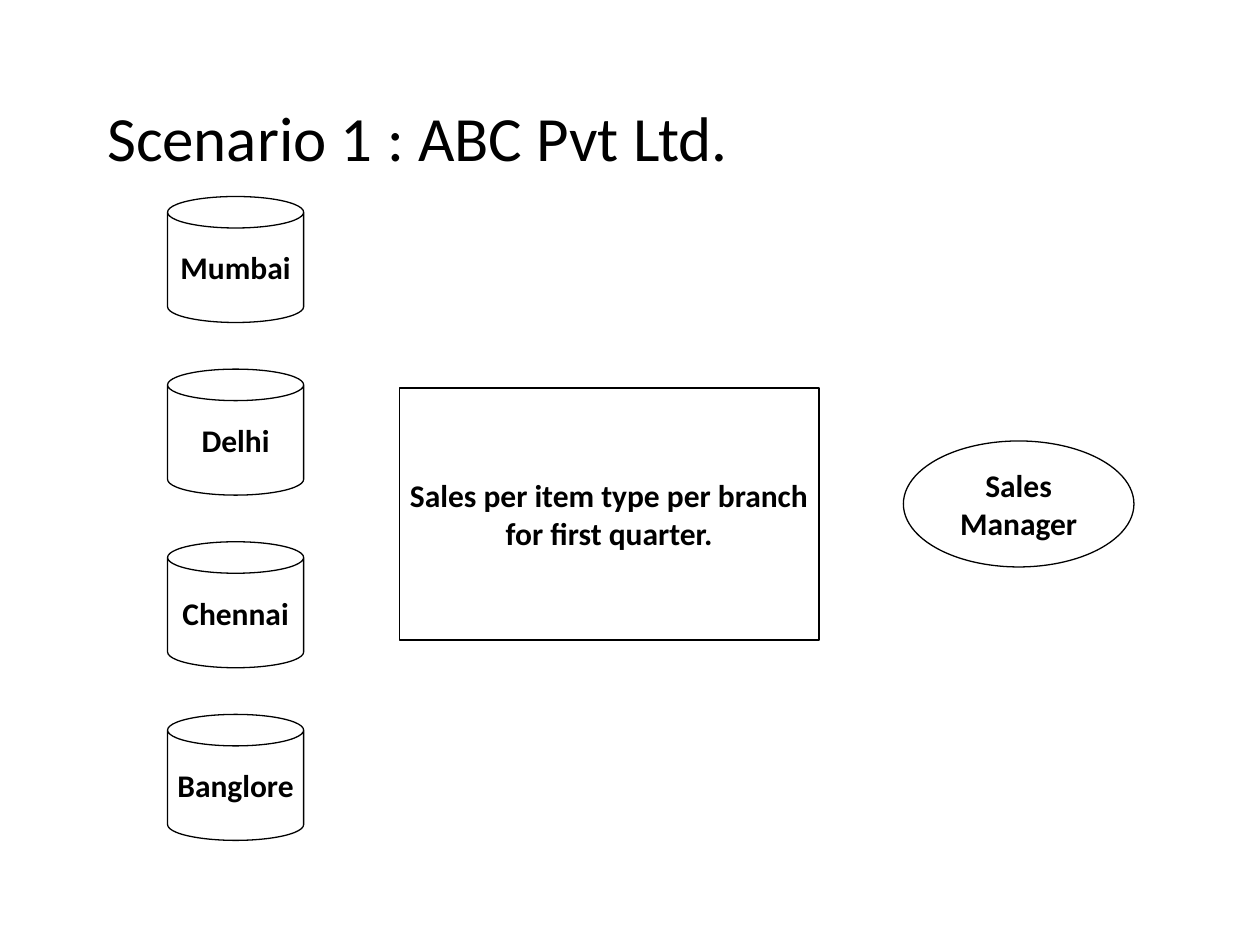
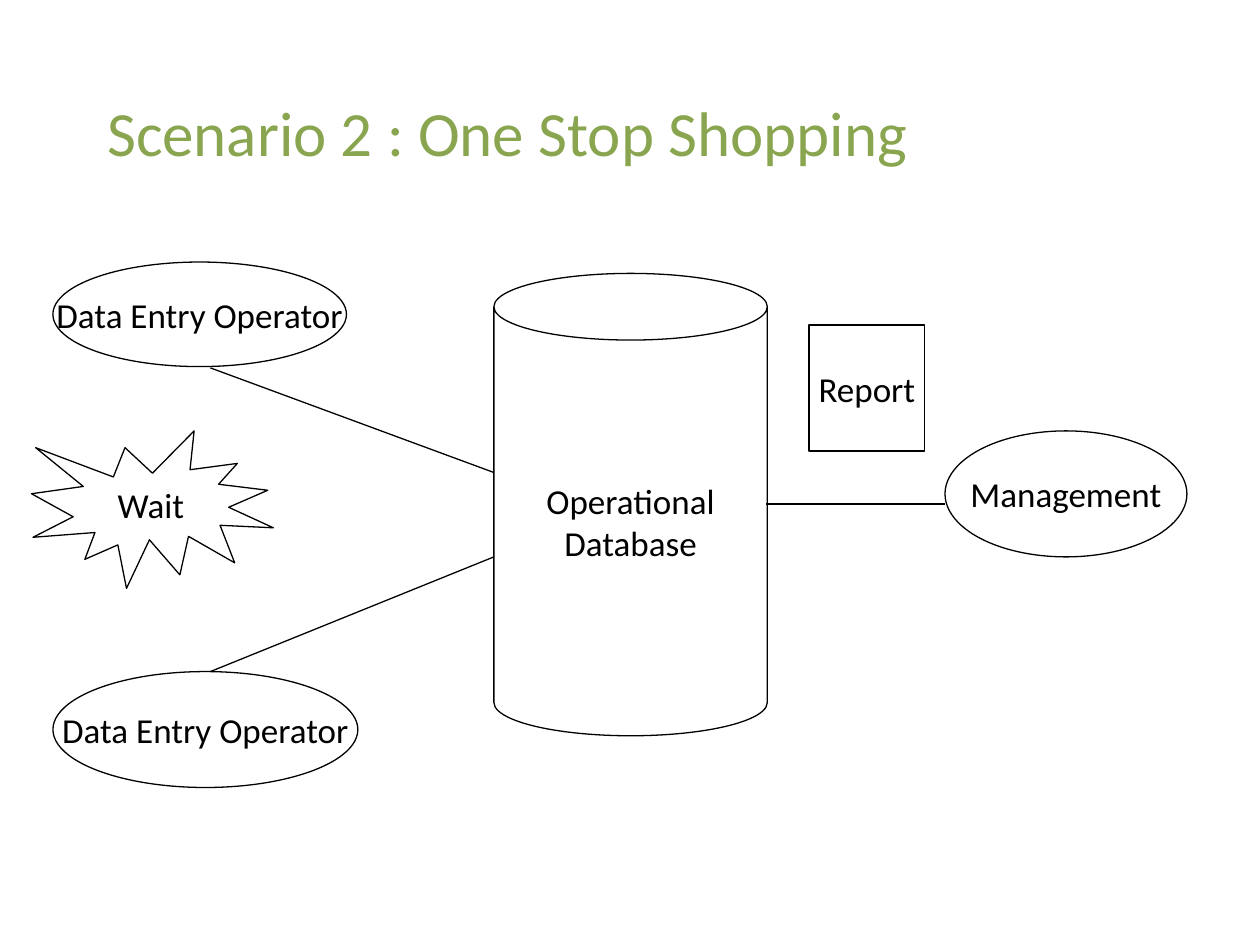
from lxml import etree
from pptx import Presentation
from pptx.dml.color import RGBColor
from pptx.enum.shapes import MSO_CONNECTOR, MSO_SHAPE as Preset
from pptx.enum.text import MSO_ANCHOR as Anchor, MSO_AUTO_SIZE as AutoSize, PP_ALIGN as Align
from pptx.oxml.ns import qn
from pptx.util import Inches, Pt

BLACK = RGBColor(0x00, 0x00, 0x00)
GREEN = RGBColor(0x89, 0xA5, 0x4F)
FONT = "Calibri"
LINE_WIDTH = Pt(0.75)

deck = Presentation()
deck.slide_width, deck.slide_height = Inches(10), Inches(7.5)


def add_titled_page(text, height, color):
    page = deck.slides.add_slide(deck.slide_layouts[5])
    title = page.shapes.title
    title.left, title.top = Inches(0.75), Inches(0.67)
    title.width, title.height = Inches(8.5), Inches(height)
    frame = title.text_frame
    frame.auto_size = AutoSize.NONE
    frame.vertical_anchor = Anchor.MIDDLE
    para = frame.paragraphs[0]
    para.alignment = Align.LEFT
    span = para.add_run()
    span.text = text
    span.font.name, span.font.size = FONT, Pt(36)
    span.font.color.rgb = color
    return page


def add_node(page, preset, left, top, width, height, lines, size, bold=False):
    node = page.shapes.add_shape(preset, Inches(left), Inches(top), Inches(width), Inches(height))
    node.shadow.inherit = False
    node.fill.background()
    node.line.color.rgb = BLACK
    node.line.width = LINE_WIDTH
    frame = node.text_frame
    frame.word_wrap = False
    frame.vertical_anchor = Anchor.MIDDLE
    for number, text in enumerate(lines):
        para = frame.add_paragraph() if number else frame.paragraphs[0]
        para.alignment = Align.CENTER
        span = para.add_run()
        span.text = text
        span.font.name, span.font.size, span.font.bold = FONT, Pt(size), bold
        span.font.color.rgb = BLACK
    return node


# Slide 1: branch databases, the requested report and its reader
page = add_titled_page("Scenario 1 : ABC Pvt Ltd.", 0.83, BLACK)
for row, branch in enumerate(["Mumbai", "Delhi", "Chennai", "Banglore"]):
    add_node(page, Preset.CAN, 1.33, 1.56 + 1.37 * row, 1.08, 1, [branch], 18, bold=True)
add_node(page, Preset.OVAL, 7.17, 3.5, 1.83, 1, ["Sales", "Manager"], 18, bold=True)
add_node(page, Preset.RECTANGLE, 3.17, 3.08, 3.33, 2,
         ["Sales per item type per branch", "for first quarter."], 18, bold=True)

# Slide 2: one operational database shared by everyone
page = add_titled_page("Scenario 2 : One Stop Shopping", 0.75, GREEN)
database = add_node(page, Preset.CAN, 3.92, 2.17, 2.17, 3.67, ["Operational", "Database"], 20)
database.adjustments[0] = 0.244
for preset, left, top, width, height, label in [
    (Preset.OVAL, 0.42, 2.08, 2.33, 0.83, "Data Entry Operator"),
    (Preset.OVAL, 0.42, 5.33, 2.42, 0.92, "Data Entry Operator"),
    (Preset.OVAL, 7.5, 3.42, 1.92, 1, "Management"),
    (Preset.EXPLOSION1, 0.25, 3.42, 1.92, 1.25, "Wait"),
    (Preset.RECTANGLE, 6.42, 2.58, 0.92, 1, "Report"),
]:
    add_node(page, preset, left, top, width, height, [label], 20)

# Links between the people and the database
for start_x, start_y, end_x, end_y in [
    (1.67, 2.92, 3.92, 3.75),
    (1.67, 5.33, 3.92, 4.42),
    (6.08, 4, 7.5, 4),
]:
    link = page.shapes.add_connector(MSO_CONNECTOR.STRAIGHT, Inches(start_x), Inches(start_y),
                                     Inches(end_x), Inches(end_y))
    link.line.color.rgb = BLACK
    link.line.width = LINE_WIDTH
    etree.SubElement(link._element.spPr, qn("a:effectLst"))

deck.save("out.pptx")
